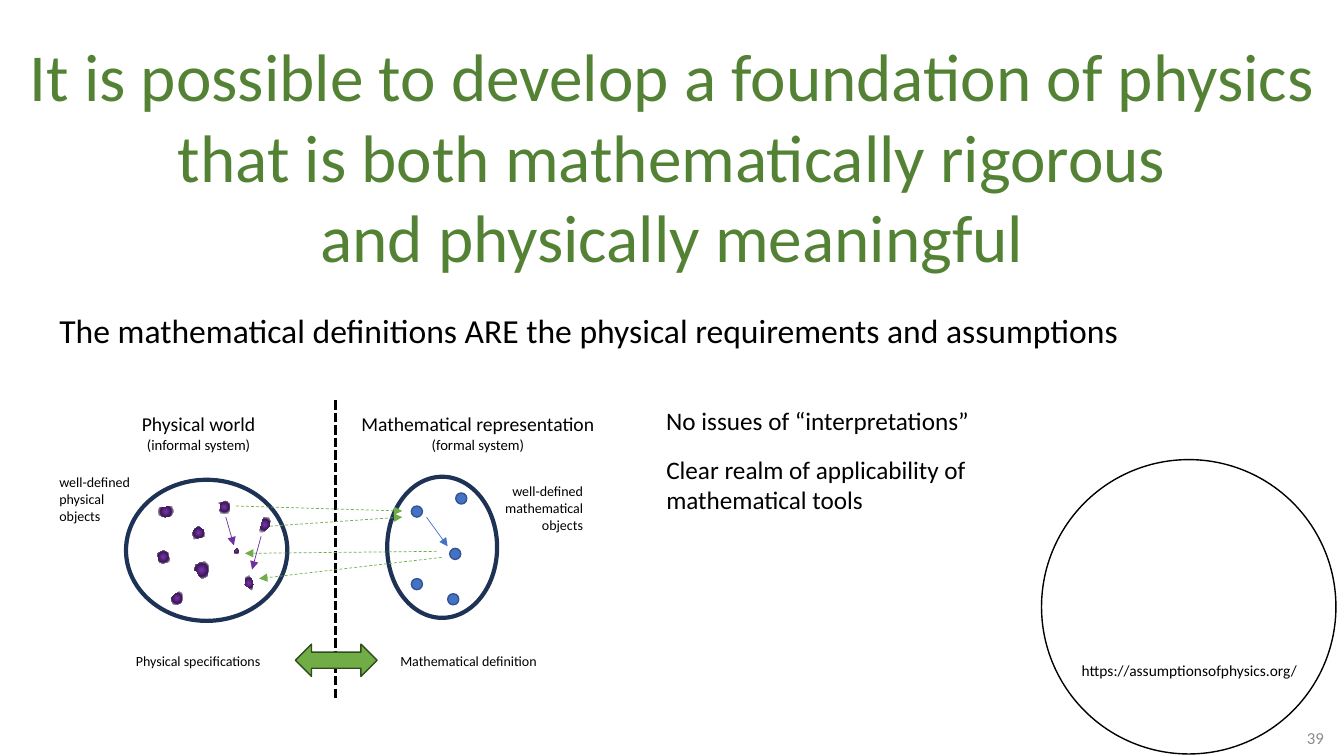
from dataclasses import dataclass

from lxml import etree
from pptx import Presentation
from pptx import util as u
from pptx.dml.color import RGBColor
from pptx.enum import dml, shapes, text
from pptx.oxml import parse_xml
from pptx.oxml.ns import nsdecls, qn


@dataclass(frozen=True)
class Theme:
    font: str = "Calibri"
    title: str = "548235"
    ink: str = "000000"
    muted: str = "8C8C8C"
    outline: str = "1E3256"
    blue: str = "4472C4"
    blue_edge: str = "325491"
    green: str = "70AD47"
    green_edge: str = "314C1F"
    purple: str = "7030A0"
    purple_dark: str = "3C1A56"
    white: str = "FFFFFF"
    title_size: float = 48
    lead_size: float = 24
    point_size: float = 18
    heading_size: float = 14
    number_size: float = 12
    link_size: float = 11
    sub_size: float = 10.5
    label_size: float = 10


theme = Theme()
LEFT, CENTER, RIGHT = text.PP_ALIGN.LEFT, text.PP_ALIGN.CENTER, text.PP_ALIGN.RIGHT
OVAL = shapes.MSO_SHAPE.OVAL

# Grid: every length is a count of square cells
CELL = u.Inches(0.01)
COLUMNS, ROWS = 1333, 750
deck = Presentation()
deck.slide_width, deck.slide_height = COLUMNS * CELL, ROWS * CELL
page = deck.slides.add_slide(deck.slide_layouts[5])


def write(box, paragraphs, align=LEFT, color=theme.ink):
    """Fill a box with paragraphs of (text, size) spans; a newline is a line break."""
    for index, spans in enumerate(paragraphs):
        para = box.text_frame.paragraphs[0] if index == 0 else box.text_frame.add_paragraph()
        para.alignment = align
        for words, size in spans:
            for number, line in enumerate(words.split("\n")):
                if number:
                    para.add_line_break()
                if line:
                    span = para.add_run()
                    span.text = line
                    span.font.name, span.font.size = theme.font, u.Pt(size)
                    span.font.color.rgb = RGBColor.from_string(color)


def draw(kind, place, fill, line, width):
    """Add a preset shape; without a fill only its outline shows."""
    shape = page.shapes.add_shape(kind, *(n * CELL for n in place))
    shape.shadow.inherit = False
    if fill:
        shape.fill.solid()
        shape.fill.fore_color.rgb = RGBColor.from_string(fill)
    else:
        shape.fill.background()
    shape.line.color.rgb = RGBColor.from_string(line)
    shape.line.width = u.Pt(width)


# Title
title = page.shapes.title
title.left, title.top, title.width, title.height = 0, 28 * CELL, COLUMNS * CELL, 252 * CELL
title.text_frame.auto_size = text.MSO_AUTO_SIZE.NONE
write(title, [[("It is possible to develop a foundation of physics\n"
                "that is both mathematically rigorous\nand physically meaningful",
                theme.title_size)]], CENTER, theme.title)

# Circle behind the web address, the two worlds, and the arrow joining them
for kind, place, fill, line, width in [
    (OVAL, (1033, 456, 292, 292), None, theme.ink, 1),
    (OVAL, (384, 473, 109, 140), None, theme.outline, 3),
    (OVAL, (125, 476, 160, 140), None, theme.outline, 3),
]:
    draw(kind, place, fill, line, width)

# Mathematical objects
for left, top in [(446, 544), (408, 502), (408, 574), (452, 489), (444, 589)]:
    draw(OVAL, (left, top, 11, 11), theme.blue, theme.blue_edge, 1)

# Physical objects: irregular blobs with a radial gradient
blobs = [
    [(161, 547), (156, 549), (158, 558), (161, 559), (167, 558), (168, 556), (167, 549), (166, 548),
     (162, 546)],
    [(217, 499), (222, 498), (224, 497), (226, 498), (228, 501), (227, 509), (225, 509), (219, 509),
     (218, 507), (219, 500)],
    [(197, 522), (193, 525), (191, 529), (192, 535), (200, 533), (203, 532), (202, 526), (199, 524)],
    [(193, 566), (194, 560), (196, 560), (198, 558), (201, 558), (203, 557), (204, 558), (207, 561),
     (206, 571), (205, 572), (201, 574), (199, 573), (198, 572), (195, 566)],
    [(178, 587), (176, 588), (171, 592), (170, 594), (171, 599), (175, 600), (180, 598), (181, 594),
     (181, 589)],
    [(235, 544), (233, 546), (232, 549), (235, 549), (237, 549), (237, 546)],
    [(247, 571), (244, 573), (243, 580), (247, 583), (250, 586), (251, 580), (250, 576), (249, 574)],
    [(257, 528), (261, 515), (261, 514), (265, 513), (267, 514), (268, 517), (267, 522), (263, 526),
     (262, 527), (260, 528)],
    [(167, 502), (165, 503), (159, 503), (158, 504), (157, 507), (157, 510), (160, 512), (164, 513),
     (169, 512), (171, 510), (172, 507), (171, 503)],
]
stops = [(12, theme.purple), (56, theme.purple_dark), (100, theme.white)]
stop_xml = "".join(f'<a:gs pos="{share * 1000}"><a:srgbClr val="{color}"/></a:gs>'
                   for share, color in stops)
for outline in blobs:
    builder = page.shapes.build_freeform(*outline[0], scale=CELL)
    builder.add_line_segments(outline[1:], close=True)
    blob = builder.convert_to_shape()
    blob.shadow.inherit = False
    blob.line.fill.background()
    blob.element.spPr.find(qn("a:custGeom")).addnext(parse_xml(
        f'<a:gradFill {nsdecls("a")}><a:gsLst>{stop_xml}</a:gsLst><a:path path="circle">'
        '<a:fillToRect l="50000" t="50000" r="50000" b="50000"/></a:path></a:gradFill>'))

# Divider, arrows between the worlds (dashed) and within each world (solid)
DASH, DIVIDER_DASH = dml.MSO_LINE.DASH, dml.MSO_LINE.SQUARE_DOT
for start, end, color, width, dash, pointed in [
    ((333, 397), (333, 695), theme.ink, 2.25, DIVIDER_DASH, False),
    ((268, 522), (399, 513), theme.green, 0.5, DASH, True),
    ((234, 502), (399, 507), theme.green, 0.5, DASH, True),
    ((438, 553), (257, 574), theme.green, 0.5, DASH, True),
    ((433, 547), (243, 549), theme.green, 0.5, DASH, True),
    ((423, 513), (444, 542), theme.blue, 0.5, None, True),
    ((259, 532), (250, 565), theme.purple, 0.5, None, True),
    ((224, 513), (232, 541), theme.purple, 0.5, None, True),
]:
    link = page.shapes.add_connector(shapes.MSO_CONNECTOR.STRAIGHT,
                                     *(n * CELL for n in start + end))
    link.line.color.rgb = RGBColor.from_string(color)
    link.line.width = u.Pt(width)
    if dash:
        link.line.dash_style = dash
    if pointed:
        etree.SubElement(link.line._get_or_add_ln(), qn("a:tailEnd"), type="triangle")
    etree.SubElement(link.element.spPr, qn("a:effectLst"))

# Double arrow over the divider
draw(shapes.MSO_SHAPE.LEFT_RIGHT_ARROW, (293, 639, 81, 32), theme.green, theme.green_edge, 1)

# Statements, diagram labels, web address and page number
for place, align, color, paragraphs in [
    ((49, 303, 1081, 50), LEFT, theme.ink,
     [[("The mathematical definitions ARE the physical requirements and assumptions",
        theme.lead_size)]]),
    ((651, 397, 324, 40), LEFT, theme.ink,
     [[("No issues of “interpretations”", theme.point_size)]]),
    ((651, 446, 321, 71), LEFT, theme.ink,
     [[("Clear realm of applicability of\nmathematical tools", theme.point_size)]]),
    ((130, 404, 134, 52), CENTER, theme.ink,
     [[("Physical world\n", theme.heading_size), ("(informal system)", theme.sub_size)]]),
    ((347, 404, 254, 52), CENTER, theme.ink,
     [[("Mathematical representation", theme.heading_size)],
      [("(formal system)", theme.sub_size)]]),
    ((49, 465, 91, 61), LEFT, theme.ink,
     [[("well-defined\nphysical", theme.label_size)], [("objects", theme.label_size)]]),
    ((489, 474, 99, 61), RIGHT, theme.ink,
     [[("well-defined\nmathematical\nobjects", theme.label_size)]]),
    ((122, 642, 146, 27), RIGHT, theme.ink, [[("Physical specifications", theme.label_size)]]),
    ((385, 642, 157, 27), RIGHT, theme.ink, [[("Mathematical definition", theme.label_size)]]),
    ((1063, 651, 235, 29), LEFT, theme.ink,
     [[("https://assumptionsofphysics.org/", theme.link_size)]]),
    ((1262, 717, 61, 29), RIGHT, theme.muted, [[("39", theme.number_size)]]),
]:
    box = page.shapes.add_textbox(*(n * CELL for n in place))
    box.text_frame.word_wrap = False
    write(box, paragraphs, align, color)

deck.save("out.pptx")
